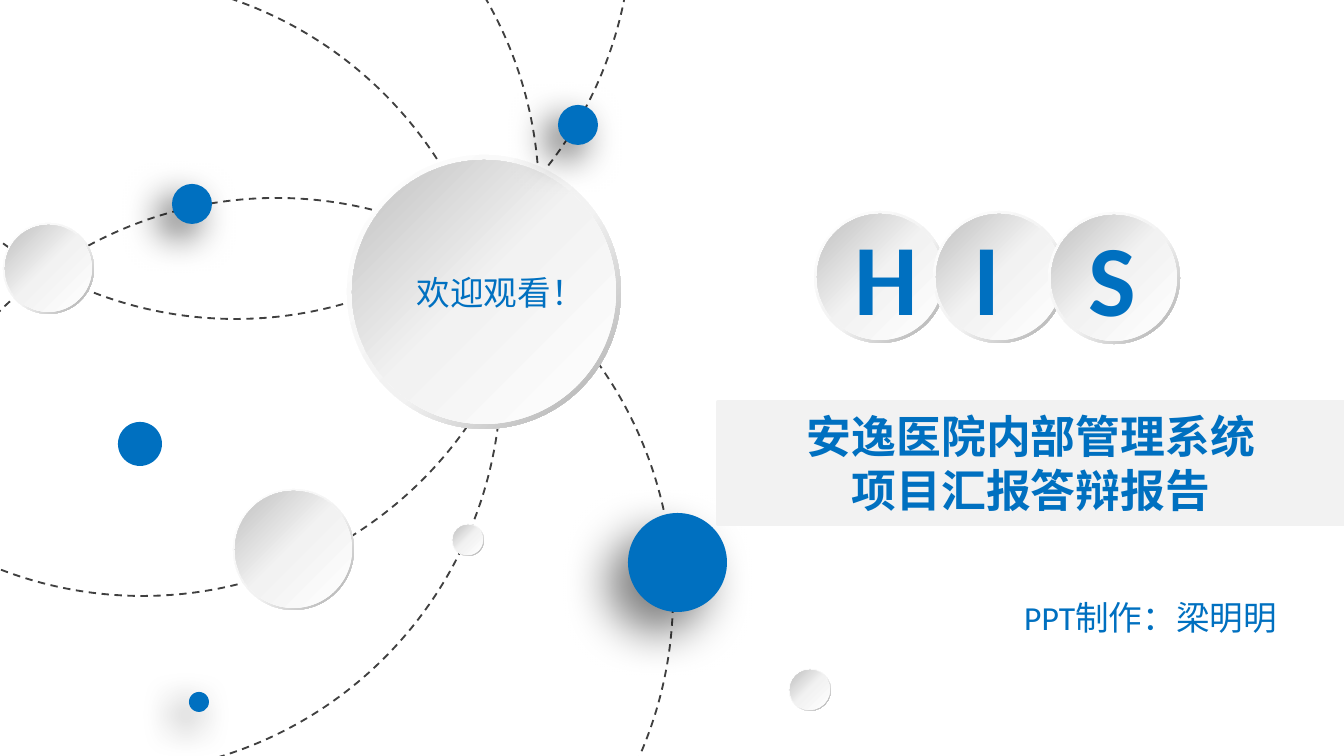
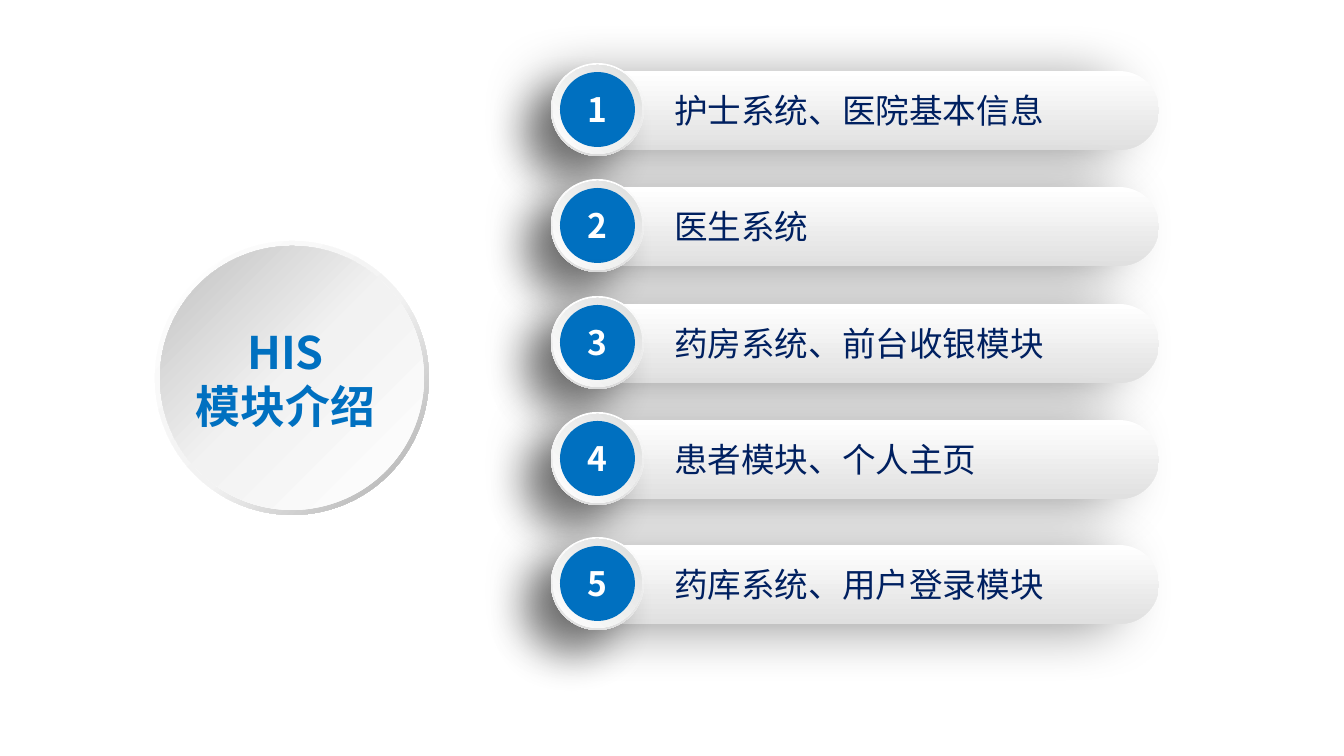
from lxml import etree
from pptx import Presentation
from pptx import util as u
from pptx.dml.color import RGBColor
from pptx.enum import dml, shapes, text
from pptx.oxml.ns import qn

BLUE = RGBColor(0x00, 0x70, 0xC0)
NAVY = RGBColor(0x00, 0x20, 0x60)
WHITE = RGBColor(0xFF, 0xFF, 0xFF)
PALE = RGBColor(0xF2, 0xF2, 0xF2)
SILVER = RGBColor(0xE0, 0xE0, 0xE0)
MIST = RGBColor(0xDD, 0xDE, 0xDD)
GREY = RGBColor(0xBF, 0xBF, 0xBF)
RIM_GREY = RGBColor(0xA6, 0xA6, 0xA6)
BLACK = RGBColor(0x00, 0x00, 0x00)
DASH = RGBColor(0x40, 0x40, 0x40)

RIM = ([(0, WHITE), (55, PALE), (100, RIM_GREY)], 45)
BALL = ([(0, WHITE), (51, PALE), (100, GREY)], 225)
RAISED = ([(0, WHITE), (100, SILVER)], 90)
BADGE = ([(0, WHITE), (100, MIST)], 315)

DISC_SHADOW = (60, 20, 10, 135)
BIG_DISC_SHADOW = (50, 25, 15, 135)
PILL_SHADOW = (40, 30, 20, 171)
BADGE_SHADOW = (40, 22, 20, 135)

CALIBRI, ARIAL, NOTO = "Calibri", "Arial", "Noto Sans CJK SC"
OVAL = shapes.MSO_SHAPE.OVAL
CENTER = text.PP_ALIGN.CENTER

WELCOME = "欢迎观看！"
REPORT_TITLE = ["安逸医院内部管理系统", "项目汇报答辩报告"]
AUTHOR = "PPT制作：梁明明"
LETTERS = [("H", 814, 211), ("I", 933, 211), ("S", 1048, 212)]
ORBITS = [(-120, 198), (-254, -200), (-292, -22), (-161, -477)]
DISCS = [
    (628, 513, 99, BIG_DISC_SHADOW),
    (558, 105, 40, DISC_SHADOW),
    (172, 184, 40, DISC_SHADOW),
    (189, 692, 20, DISC_SHADOW),
]
SMALL_ORBS = [(3, 223, 91), (452, 524, 32), (789, 669, 42), (233, 489, 121)]

MODULES_TITLE = ["HIS", "模块介绍"]
MODULES = [
    ("护士系统、医院基本信息", 63),
    ("医生系统", 179),
    ("药房系统、前台收银模块", 296),
    ("患者模块、个人主页", 412),
    ("药库系统、用户登录模块", 537),
]

PX = u.Inches(10) / 1344


def px(*lengths):
    return [u.Emu(round(length * PX)) for length in lengths]


def add_color(parent, color):
    return etree.SubElement(parent, qn("a:srgbClr"), val=str(color))


def paint(shape, fill):
    if isinstance(fill, RGBColor):
        shape.fill.solid()
        shape.fill.fore_color.rgb = fill
        return
    shape.fill.background()
    if fill is None:
        return
    stops, angle = fill
    gradient = etree.Element(qn("a:gradFill"), rotWithShape="1")
    stop_list = etree.SubElement(gradient, qn("a:gsLst"))
    for position, color in stops:
        add_color(etree.SubElement(stop_list, qn("a:gs"), pos=str(position * 1000)), color)
    etree.SubElement(gradient, qn("a:lin"), ang=str(angle * 60000), scaled="0")
    properties = shape.element.spPr
    properties.replace(properties.find(qn("a:noFill")), gradient)


def cast_shadow(shape, alpha, blur, distance, direction):
    effects = shape.element.spPr.find(qn("a:effectLst"))
    shadow = etree.SubElement(
        effects, qn("a:outerShdw"), blurRad=str(u.Pt(blur)), dist=str(u.Pt(distance)),
        dir=str(direction * 60000), algn="ctr", rotWithShape="0")
    etree.SubElement(add_color(shadow, BLACK), qn("a:alpha"), val=str(alpha * 1000))


def add_part(parent, kind, box, fill, shadow=None):
    shape = parent.shapes.add_shape(kind, *px(*box))
    shape.shadow.inherit = False
    shape.line.fill.background()
    paint(shape, fill)
    if shadow:
        cast_shadow(shape, *shadow)
    return shape


def write(shape, lines, size, font, color, bold=False, align=None):
    frame = shape.text_frame
    frame.word_wrap = True
    for index, line in enumerate(lines):
        paragraph = frame.add_paragraph() if index else frame.paragraphs[0]
        paragraph.alignment = align
        run = paragraph.add_run()
        run.text = line
        run.font.size = u.Pt(size)
        run.font.name = font
        run.font.bold = bold
        run.font.color.rgb = color
        etree.SubElement(run.font._element, qn("a:ea"), typeface=NOTO)


def add_label(parent, box, lines, *style, **options):
    label = parent.shapes.add_textbox(*px(*box))
    write(label, lines, *style, **options)
    label.text_frame.auto_size = text.MSO_AUTO_SIZE.SHAPE_TO_FIT_TEXT


def add_orb(slide, x, y, size, rim=RIM, ball=BALL):
    group = slide.shapes.add_group_shape()
    ring = add_part(group, shapes.MSO_SHAPE.DONUT, (x, y, size, size), rim)
    ring.adjustments[0] = 0.05
    inset = round(size * 0.02)
    inner = size - 2 * inset
    center = add_part(group, OVAL, (x + inset, y + inset, inner, inner), ball)
    return group, center


def build_cover(slide):
    for x, y in ORBITS:
        orbit = add_part(slide, OVAL, (x, y, 793, 796), None)
        orbit.line.color.rgb = DASH
        orbit.line.width = u.Pt(1)
        orbit.line.dash_style = dml.MSO_LINE.DASH

    _, welcome = add_orb(slide, 347, 155, 274)
    write(welcome, [WELCOME], 18, CALIBRI, BLUE, align=CENTER)
    welcome.text_frame.vertical_anchor = text.MSO_ANCHOR.MIDDLE

    for x, y, size, shadow in DISCS:
        add_part(slide, OVAL, (x, y, size, size), BLUE, shadow)
    add_orb(slide, 118, 422, 44, BLUE, BLUE)
    for orb in SMALL_ORBS:
        add_orb(slide, *orb)
    for letter, x, y in LETTERS:
        group, _ = add_orb(slide, x, y, 132)
        add_label(group, (x + 27, y - 3, 85, 136), [letter], 54, CALIBRI, BLUE, bold=True)

    banner = add_part(slide, shapes.MSO_SHAPE.RECTANGLE, (718, 402, 626, 122), PALE)
    banner.line.color.rgb = PALE
    banner.line.width = u.Pt(2)
    write(banner, REPORT_TITLE, 24, NOTO, BLUE, bold=True, align=CENTER)
    banner.text_frame.vertical_anchor = text.MSO_ANCHOR.MIDDLE
    add_label(slide, (1011, 590, 317, 54), [AUTHOR], 18, CALIBRI, BLUE)


def build_modules(slide):
    for number, (module, top) in enumerate(MODULES, 1):
        row = slide.shapes.add_group_shape()
        pill = add_part(row, shapes.MSO_SHAPE.ROUNDED_RECTANGLE,
                        (570, top + 8, 589, 79), RAISED, PILL_SHADOW)
        pill.adjustments[0] = 0.5
        for inset, fill, shadow in [(0, RAISED, BADGE_SHADOW), (2, BADGE, None), (9, BLUE, None)]:
            size = 93 - 2 * inset
            add_part(row, OVAL, (551 + inset, top + inset, size, size), fill, shadow)
        add_label(row, (567, top + 19, 60, 54), [str(number)], 18, NOTO, WHITE,
                  bold=True, align=CENTER)
        add_label(row, (661, top + 20, 434, 54), [module], 18, ARIAL, NAVY)

    group, _ = add_orb(slide, 155, 241, 274)
    add_label(group, (153, 318, 265, 122), MODULES_TITLE, 24, NOTO, BLUE,
              bold=True, align=CENTER)


def main():
    deck = Presentation()
    deck.slide_width, deck.slide_height = px(1344, 756)
    for build in (build_cover, build_modules):
        build(deck.slides.add_slide(deck.slide_layouts[6]))
    deck.save("out.pptx")


if __name__ == "__main__":
    main()
